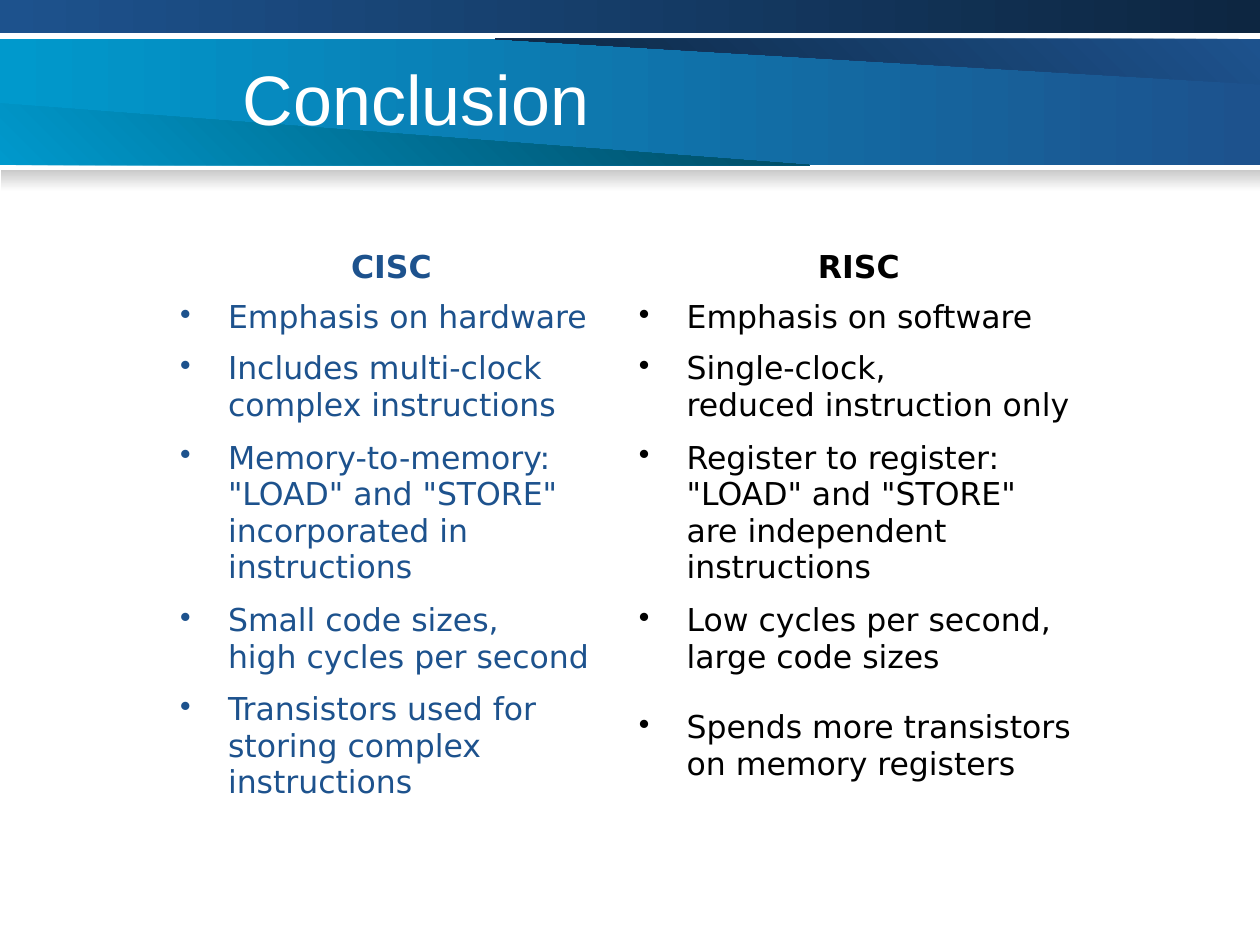
from lxml import etree
from pptx import Presentation
from pptx.dml.color import RGBColor
from pptx.enum.shapes import MSO_SHAPE
from pptx.enum.text import MSO_ANCHOR, PP_ALIGN
from pptx.oxml.ns import qn
from pptx.util import Inches, Pt

BLUE, NAVY, CYAN, TEAL = "1D528D", "0D2641", "0099CC", "00475E"
WHITE, BLACK, GREY = "FFFFFF", "000000", "CACACA"

COLUMN_COLORS = [BLUE, BLACK]
COLUMN_WIDTHS = [3.64, 3.78]
ROW_HEIGHTS = [0.4, 0.4, 0.7, 1.3, 0.7, 1]
ROWS = [
    ("CISC ", "RISC "),
    ("Emphasis on hardware", "Emphasis on software"),
    ("Includes multi-clock\ncomplex instructions",
     "Single-clock,\nreduced instruction only"),
    ('Memory-to-memory:\n"LOAD" and "STORE"\nincorporated in instructions',
     'Register to register:\n"LOAD" and "STORE"\nare independent instructions'),
    ("Small code sizes,\nhigh cycles per second",
     "Low cycles per second,\nlarge code sizes"),
    ("Transistors used for storing complex instructions",
     "Spends more transistors\non memory registers"),
]


def rgb(color):
    return RGBColor.from_string(color)


def write(tf, text, size=18, font="DejaVu Sans", color=BLACK, bold=False,
          align=PP_ALIGN.LEFT, bullet=False, indent=0):
    tf.word_wrap = True
    p = tf.paragraphs[0]
    p.alignment = align
    if indent:
        pPr = p._p.get_or_add_pPr()
        pPr.set("marL", str(Inches(indent)))
        pPr.set("indent", str(-Inches(indent)))
        if bullet:
            bu_color = etree.SubElement(pPr, qn("a:buClr"))
            etree.SubElement(bu_color, qn("a:srgbClr"), val=color)
            etree.SubElement(pPr, qn("a:buChar"), char="•")
    p.text = text.replace("\n", "\v")
    for r in p.runs:
        r.font.size = Pt(size)
        r.font.name = font
        r.font.bold = bold
        r.font.color.rgb = rgb(color)


def paint(sp, start, end, angle):
    """Gradient fill; the angle runs counter-clockwise."""
    sp.shadow.inherit = False
    sp.line.fill.background()
    sp.fill.gradient()
    sp.fill.gradient_angle = angle
    for stop, color in zip(sp.fill.gradient_stops, (start, end)):
        stop.color.rgb = rgb(color)


def add_bar(s, x, y, w, h, start, end, angle=0):
    sp = s.shapes.add_shape(MSO_SHAPE.RECTANGLE, Inches(x), Inches(y), Inches(w), Inches(h))
    paint(sp, start, end, angle)


def add_wedge(s, points, start, end, angle):
    first, *rest = [(Inches(x), Inches(y)) for x, y in points]
    builder = s.shapes.build_freeform(*first)
    builder.add_line_segments(rest)
    paint(builder.convert_to_shape(), start, end, angle)


def add_header(s, x, y, w, h):
    # Main band with a wedge along its top and its bottom edge
    top, right, bottom = y + 0.31, x + w, y + h
    add_bar(s, x, top, w, bottom - top, CYAN, BLUE)
    add_wedge(s, [(x + 3.93, top), (right, top + 0.36), (right, top)], BLUE, NAVY, 225)
    add_wedge(s, [(x, bottom), (x + 6.43, bottom), (x, bottom - 0.49)], CYAN, TEAL, 45)
    # Top strip and soft shade under the band
    add_bar(s, x, y, w, 0.26, BLUE, NAVY)
    add_bar(s, x + 0.01, bottom + 0.04, w - 0.01, 0.17, GREY, WHITE, 270)
    # Title
    box = s.shapes.add_textbox(Inches(x + 1.83), Inches(y + 0.3), Inches(7.25), Inches(0.95))
    box.text_frame.vertical_anchor = MSO_ANCHOR.MIDDLE
    write(box.text_frame, "Conclusion", size=40, font="Arial", color=WHITE)


def style_cell(cell):
    cell.vertical_anchor = MSO_ANCHOR.MIDDLE
    tcPr = cell._tc.get_or_add_tcPr()
    for side in ("lnL", "lnR", "lnT", "lnB"):
        ln = etree.SubElement(tcPr, qn(f"a:{side}"), w=str(Pt(0.45)))
        fill = etree.SubElement(ln, qn("a:solidFill"))
        etree.SubElement(fill, qn("a:srgbClr"), val=WHITE)
    cell.fill.background()


def add_comparison(s, x, y, w, h):
    table = s.shapes.add_table(len(ROWS), len(COLUMN_WIDTHS), Inches(x), Inches(y),
                               Inches(w), Inches(h)).table
    table.first_row = table.horz_banding = False
    for column, width in zip(table.columns, COLUMN_WIDTHS):
        column.width = Inches(width)
    for i, (height, texts) in enumerate(zip(ROW_HEIGHTS, ROWS)):
        table.rows[i].height = Inches(height)
        head = i == 0
        for j, (text, color) in enumerate(zip(texts, COLUMN_COLORS)):
            cell = table.cell(i, j)
            style_cell(cell)
            write(cell.text_frame, text, color=color, bold=head, bullet=not head,
                  indent=0.38, align=PP_ALIGN.CENTER if head else PP_ALIGN.LEFT)


def main():
    prs = Presentation()
    prs.slide_width, prs.slide_height = Inches(10), Inches(7.5)
    s = prs.slides.add_slide(prs.slide_layouts[6])
    add_header(s, 0, 0, 10, 1.31)
    add_comparison(s, 1.33, 1.92, sum(COLUMN_WIDTHS), sum(ROW_HEIGHTS))
    prs.save("out.pptx")


if __name__ == "__main__":
    main()
